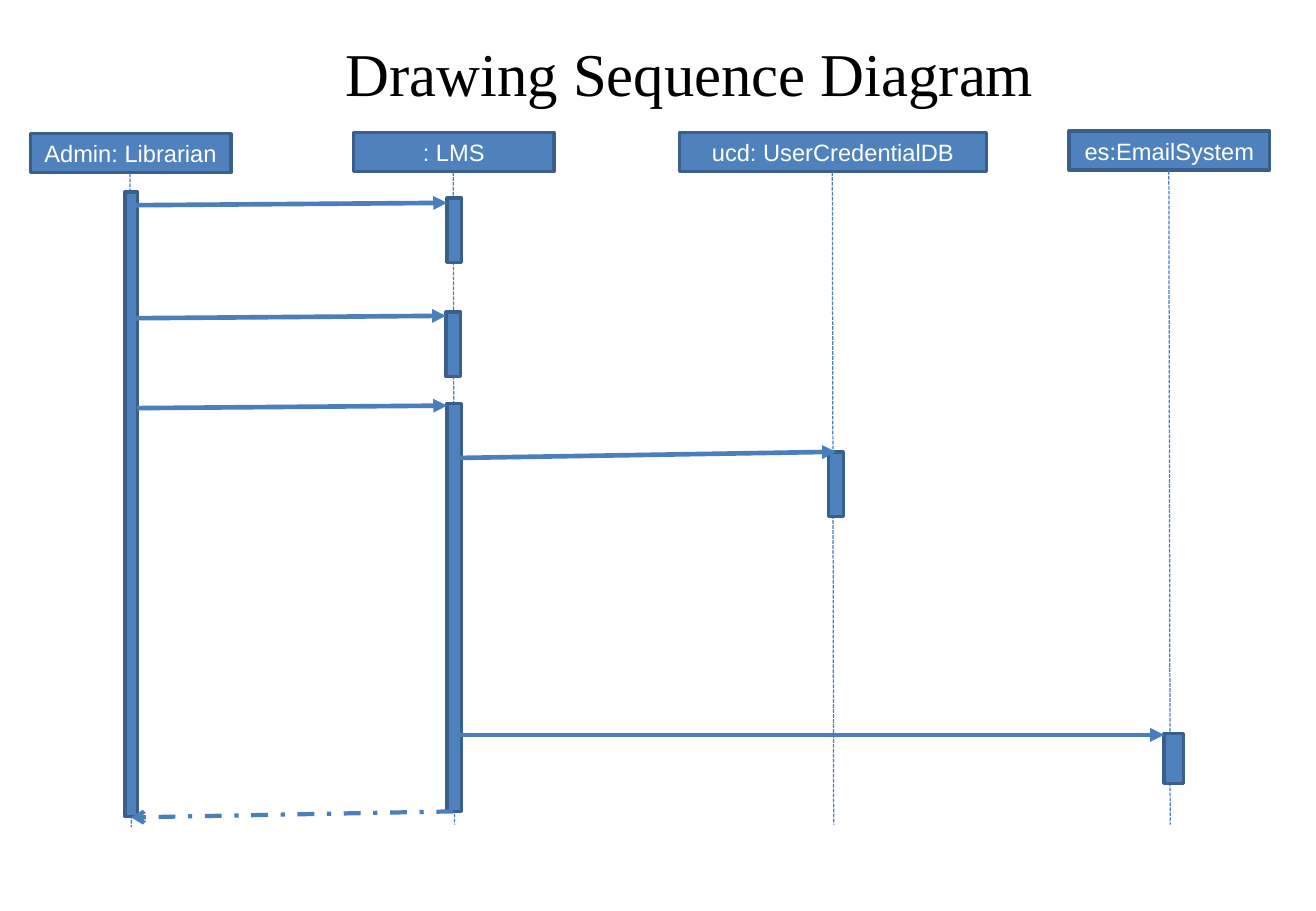
from pptx import Presentation
from pptx.dml.color import RGBColor
from pptx.enum.dml import MSO_LINE_DASH_STYLE as DASH
from pptx.enum.shapes import MSO_CONNECTOR as CONN, MSO_SHAPE as SHAPE
from pptx.enum.text import MSO_ANCHOR as ANCHOR, MSO_AUTO_SIZE as FIT, PP_ALIGN as ALIGN
from pptx.oxml.ns import qn
from pptx.util import Inches, Pt
from lxml.etree import SubElement

W, H = Inches(10.83), Inches(7.5)
FILL, EDGE, LINK = "4F81BD", "3A5F8C", "4B7EBC"
HEAD_H, LIFELINE_GAP = 4.27, 4.36
TITLE_FONT = {"name": "Times New Roman", "size": Pt(36)}
HEAD_FONT = {"name": "Arial", "size": Pt(14)}

# All positions below are percentages of the slide's width or height.
# name, centre, top, width, lifeline end
PARTICIPANTS = [
    ("Admin: Librarian", 9.93, 14.67, 15.24, 90.8),
    (": LMS", 34.49, 14.53, 15.24, 90.53),
    ("ucd: UserCredentialDB", 63.3, 14.53, 23.36, 90.53),
    ("es:EmailSystem", 88.87, 14.4, 15.24, 90.53),
]
# centre, top, width, height
ACTIVATIONS = [
    (9.97, 21.07, 0.92, 68.53),
    (34.53, 21.73, 1.11, 7.07),
    (34.44, 34.27, 1.11, 7.07),
    (34.53, 44.27, 1.11, 44.8),
    (63.53, 49.6, 1.11, 7.07),
    (89.2, 80.53, 1.48, 5.47),
]
# start x, start y, end x, end y
CALLS = [
    (10.34, 22.53, 33.98, 22.27),
    (10.25, 34.93, 33.89, 34.67),
    (10.43, 44.8, 33.98, 44.53),
    (34.9, 50.27, 63.53, 49.6),
    (34.63, 80.67, 88.46, 80.67),
]
REPLY = (34.44, 89.07, 9.97, 89.73)


def rgb(value):
    return RGBColor.from_string(value)


def shares(x, y, *rest):
    return [round(v * (H if i % 2 else W) / 100) for i, v in enumerate((x, y, *rest))]


def set_all(target, values):
    for key, value in values.items():
        setattr(target, key, value)


def write(sp, text, font, color):
    tf = sp.text_frame
    set_all(tf, {"auto_size": FIT.NONE, "vertical_anchor": ANCHOR.MIDDLE})
    p = tf.paragraphs[0]
    p.alignment = ALIGN.CENTER
    r = p.add_run()
    r.text = text
    set_all(r.font, font)
    r.font.color.rgb = rgb(color)


def add_title(s, text):
    sp = s.shapes.title
    box = shares(11.54, 3.33, 81.72, 9.2)
    set_all(sp, dict(zip(("left", "top", "width", "height"), box)))
    write(sp, text, TITLE_FONT, "000000")


def add_box(s, centre, top, width, height):
    sp = s.shapes.add_shape(SHAPE.RECTANGLE, *shares(centre - width / 2, top, width, height))
    sp.shadow.inherit = False
    sp.fill.solid()
    sp.fill.fore_color.rgb = rgb(FILL)
    sp.line.color.rgb = rgb(EDGE)
    sp.line.width = Pt(2)
    return sp


def add_line(s, ends, width, dash=None, head=None):
    cn = s.shapes.add_connector(CONN.STRAIGHT, *shares(*ends))
    cn.line.color.rgb = rgb(LINK)
    set_all(cn.line, {"width": Pt(width), "dash_style": dash})
    spPr = cn._element.spPr
    if head:
        SubElement(spPr.find(qn("a:ln")), qn("a:tailEnd"), type=head)
    SubElement(spPr, qn("a:effectLst"))


def add_participant(s, name, centre, top, width, end):
    write(add_box(s, centre, top, width, HEAD_H), name, HEAD_FONT, "FFFFFF")
    ends = (centre - 0.05, top + LIFELINE_GAP, centre + 0.05, end)
    add_line(s, ends, 0.75, DASH.SQUARE_DOT)


def main():
    prs = Presentation()
    set_all(prs, {"slide_width": W, "slide_height": H})
    s = prs.slides.add_slide(prs.slide_layouts[5])
    add_title(s, "Drawing Sequence Diagram")
    for participant in PARTICIPANTS:
        add_participant(s, *participant)
    for activation in ACTIVATIONS:
        add_box(s, *activation)
    for call in CALLS:
        add_line(s, call, 2.75, head="triangle")
    add_line(s, REPLY, 2.5, DASH.DASH_DOT, "arrow")
    prs.save("out.pptx")


if __name__ == "__main__":
    main()
